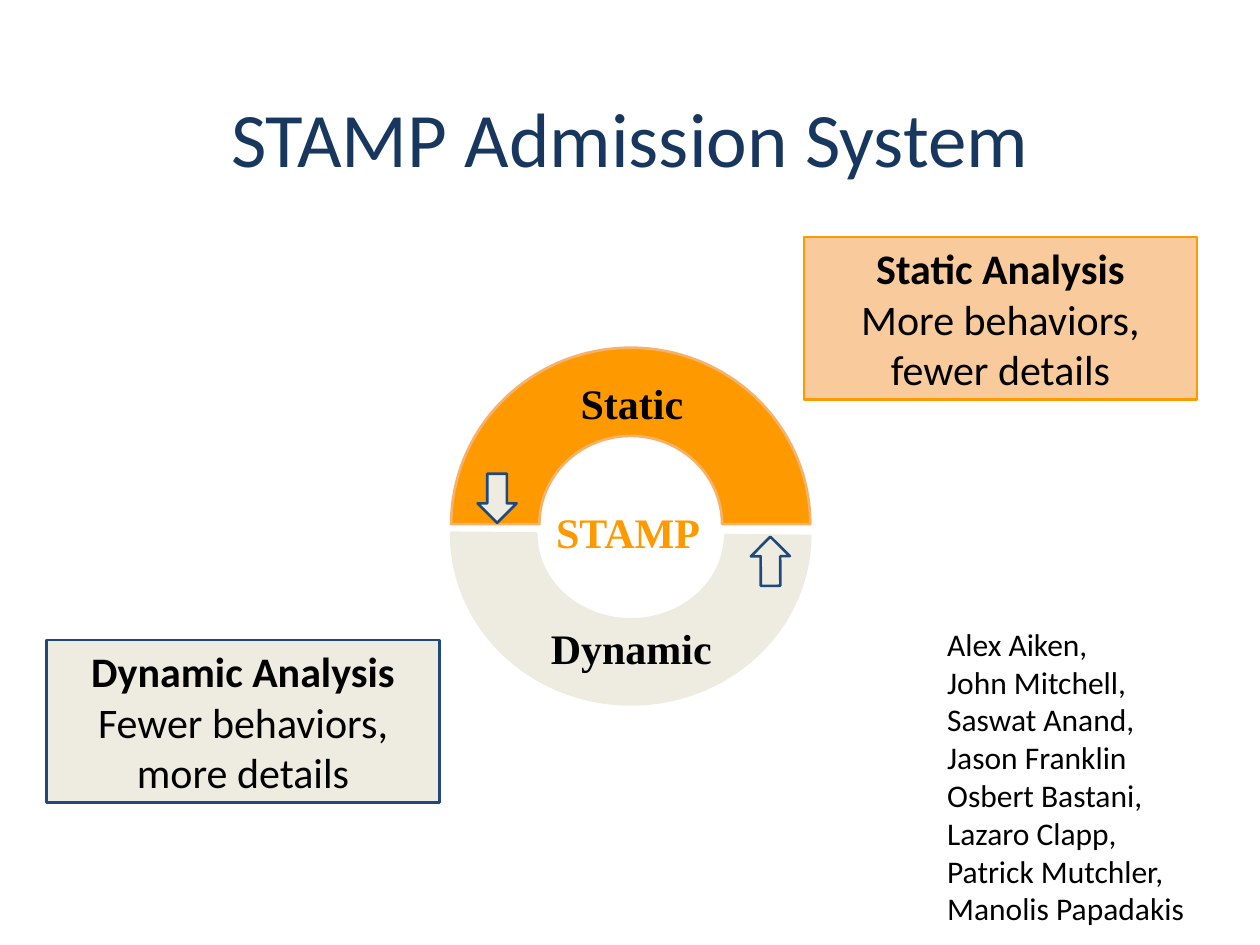
from dataclasses import dataclass

from pptx import Presentation
from pptx.dml.color import RGBColor
from pptx.enum.shapes import MSO_SHAPE
from pptx.enum.text import MSO_ANCHOR, PP_ALIGN
from pptx.util import Pt


@dataclass(frozen=True)
class Theme:
    navy: str = "17375E"
    blue: str = "1F497D"
    orange: str = "FF9900"
    peach: str = "F9CB9C"
    arc_edge: str = "F6B26B"
    beige: str = "EEECE1"
    black: str = "000000"
    sans: str = "Calibri"
    serif: str = "Times New Roman"
    title_size: int = 44
    body_size: int = 24
    names_size: int = 18
    line_width: float = 1.5


THEME = Theme()

# Content: boxes are (left, top, width, height) in points
TITLE = "STAMP Admission System"
TITLE_BOX = (36, 21.6, 648, 90)

ARCS = [  # box, rotation, fill, line
    ((257.8, 198.7, 205.2, 201.6), 0, THEME.orange, THEME.arc_edge),
    ((257.8, 208.1, 205.2, 194.4), 180.5, THEME.beige, THEME.beige),
]
RING_LABELS = [  # text, box, colour
    ("Static", (313.2, 208.8, 95.8, 41), THEME.black),
    ("Dynamic", (301.7, 348.5, 118.1, 41), THEME.black),
    ("STAMP", (295.2, 282.2, 127.4, 46.1), THEME.orange),
]
ARROWS = [  # box, rotation
    ((272.9, 270.7, 22.3, 28.1), 0),
    ((429.1, 306.7, 22.3, 28.1), 179.6),
]
CALLOUTS = [  # heading, detail, box, pointer, fill, line
    ("Static Analysis", "More behaviors, fewer details",
     (459.4, 135.4, 224.6, 92.9), (-0.25, 0.5, 0), THEME.peach, THEME.orange),
    ("Dynamic Analysis", "Fewer behaviors, more details",
     (26.6, 365.8, 224.6, 92.9), (0.5, -0.24, 0), THEME.beige, THEME.blue),
]
NAMES = ["Alex Aiken,", "John Mitchell,", "Saswat Anand,", "Jason Franklin",
         "Osbert Bastani,", "Lazaro Clapp,", "Patrick Mutchler,", "Manolis Papadakis"]
NAMES_BOX = (534.2, 353.5, 151.2, 181.4)


def points(box):
    return [Pt(value) for value in box]


def write(shape, lines, font, size, color, align=PP_ALIGN.CENTER,
          anchor=MSO_ANCHOR.TOP, wrap=True, insets=(7.2, 7.2)):
    """Write lines of (text, bold), one paragraph each."""
    frame = shape.text_frame
    frame.word_wrap = wrap
    frame.vertical_anchor = anchor
    frame.margin_left = frame.margin_right = Pt(insets[0])
    frame.margin_top = frame.margin_bottom = Pt(insets[1])
    for index, (text, bold) in enumerate(lines):
        paragraph = frame.add_paragraph() if index else frame.paragraphs[0]
        paragraph.alignment = align
        run = paragraph.add_run()
        run.text = text
        run.font.name = font
        run.font.size = Pt(size)
        run.font.bold = bold
        run.font.color.rgb = RGBColor.from_string(color)


def add_text(slide, box, *args, **options):
    write(slide.shapes.add_textbox(*points(box)), *args, **options)


def add_preset(slide, kind, box, adjustments, fill, line, rotation=0):
    shape = slide.shapes.add_shape(kind, *points(box))
    for index, value in enumerate(adjustments):
        shape.adjustments[index] = value
    shape.rotation = rotation
    shape.shadow.inherit = False
    shape.fill.solid()
    shape.fill.fore_color.rgb = RGBColor.from_string(fill)
    shape.line.color.rgb = RGBColor.from_string(line)
    shape.line.width = Pt(THEME.line_width)
    return shape


def main():
    presentation = Presentation()
    presentation.slide_width, presentation.slide_height = Pt(720), Pt(540)
    slide = presentation.slides.add_slide(presentation.slide_layouts[6])

    # Title
    add_text(slide, TITLE_BOX, [(TITLE, False)], THEME.sans, THEME.title_size,
             THEME.navy, anchor=MSO_ANCHOR.BOTTOM)

    # Ring: two half arcs, their labels and the arrows between them
    for box, rotation, fill, line in ARCS:
        add_preset(slide, MSO_SHAPE.BLOCK_ARC, box, (108, 0, 0.25), fill, line, rotation)
    for text, box, color in RING_LABELS:
        add_text(slide, box, [(text, True)], THEME.serif, THEME.body_size, color)
    for box, rotation in ARROWS:
        add_preset(slide, MSO_SHAPE.DOWN_ARROW, box, (0.5, 0.5),
                   THEME.beige, THEME.blue, rotation)

    # Callouts
    for heading, detail, box, pointer, fill, line in CALLOUTS:
        callout = add_preset(slide, MSO_SHAPE.ROUNDED_RECTANGULAR_CALLOUT,
                             box, pointer, fill, line)
        write(callout, [(heading, True), (detail, False)], THEME.sans,
              THEME.body_size, THEME.black, anchor=MSO_ANCHOR.MIDDLE)

    # Names
    add_text(slide, NAMES_BOX, [(name, False) for name in NAMES], THEME.sans,
             THEME.names_size, THEME.black, align=PP_ALIGN.LEFT, wrap=False,
             insets=(7.2, 3.6))

    presentation.save("out.pptx")


if __name__ == "__main__":
    main()
